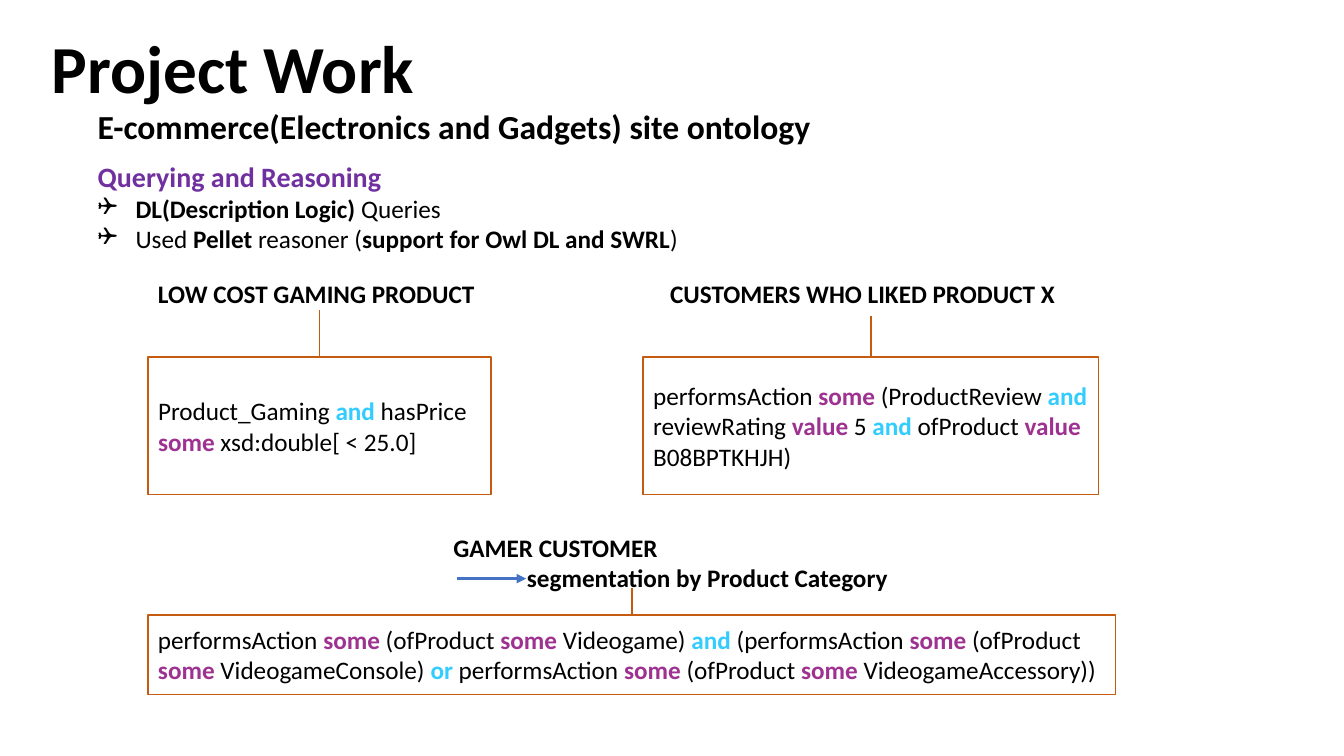
from itertools import groupby

from lxml.etree import SubElement
from pptx import Presentation
from pptx.dml.color import RGBColor
from pptx.enum.shapes import MSO_CONNECTOR, MSO_SHAPE
from pptx.enum.text import MSO_ANCHOR, MSO_AUTO_SIZE, PP_ALIGN
from pptx.oxml.ns import qn
from pptx.util import Pt

BLACK = RGBColor(0x00, 0x00, 0x00)
WHITE = RGBColor(0xFF, 0xFF, 0xFF)
PURPLE = RGBColor(0x70, 0x30, 0xA0)
ORANGE = RGBColor(0xC5, 0x5A, 0x11)
BLUE = RGBColor(0x44, 0x72, 0xC4)
CYAN = RGBColor(0x33, 0xCC, 0xFF)
MAGENTA = RGBColor(0x9E, 0x32, 0x91)

KEYWORD_COLORS = {"and": CYAN, "or": CYAN, "some": MAGENTA, "value": MAGENTA}


def add_text(paragraph, text, *, size=18, color=BLACK, bold=False):
    run = paragraph.add_run()
    run.text = text
    run.font.name = "Calibri"
    run.font.size = Pt(size)
    run.font.color.rgb = color
    run.font.bold = bold


class OntologySlide:
    """Holds the slide and its shared style."""

    line_color = ORANGE
    line_width = 1

    def __init__(self, presentation):
        self.slide = presentation.slides.add_slide(presentation.slide_layouts[1])
        self.shapes = self.slide.shapes

    def place(self, shape, left, top, width, height):
        shape.left, shape.top = Pt(left), Pt(top)
        shape.width, shape.height = Pt(width), Pt(height)
        frame = shape.text_frame
        frame.word_wrap = True
        frame.auto_size = MSO_AUTO_SIZE.NONE
        frame.vertical_anchor = MSO_ANCHOR.TOP
        return frame

    def title(self, text, *bounds):
        frame = self.place(self.shapes.title, *bounds)
        frame.paragraphs[0].alignment = PP_ALIGN.LEFT
        add_text(frame.paragraphs[0], text, size=48, bold=True)

    def checklist(self, heading, items, *bounds):
        frame = self.place(self.slide.placeholders[1], *bounds)
        first = frame.paragraphs[0]
        self.set_bullet(first)
        add_text(first, heading, size=20, color=PURPLE, bold=True)
        for item in items:
            paragraph = frame.add_paragraph()
            self.set_bullet(paragraph, "❑", 27)
            # Odd pieces between asterisks are bold
            for index, piece in enumerate(item.split("*")):
                if piece:
                    add_text(paragraph, piece, bold=index % 2 == 1)

    def set_bullet(self, paragraph, char=None, indent=0):
        paragraph.space_before = Pt(0)
        properties = paragraph._p.get_or_add_pPr()
        properties.set("marL", str(Pt(indent)))
        properties.set("indent", str(-Pt(indent)))
        if char:
            SubElement(properties, qn("a:buFont"), typeface="Wingdings")
            SubElement(properties, qn("a:buChar"), char=char)
        else:
            SubElement(properties, qn("a:buNone"))

    def label(self, lines, *bounds, size=18, indent=0):
        frame = self.place(self.shapes.add_textbox(0, 0, 0, 0), *bounds)
        for index, line in enumerate(lines):
            paragraph = frame.add_paragraph() if index else frame.paragraphs[0]
            if index:
                paragraph._p.get_or_add_pPr().set("marL", str(Pt(indent)))
            add_text(paragraph, line, size=size, bold=True)

    def query(self, lines, *bounds):
        box = self.shapes.add_shape(MSO_SHAPE.RECTANGLE, 0, 0, 0, 0)
        frame = self.place(box, *bounds)
        frame.vertical_anchor = MSO_ANCHOR.MIDDLE
        box.shadow.inherit = False
        box.fill.solid()
        box.fill.fore_color.rgb = WHITE
        box.line.color.rgb = self.line_color
        box.line.width = Pt(self.line_width)
        for index, line in enumerate(lines):
            paragraph = frame.add_paragraph() if index else frame.paragraphs[0]
            paragraph.alignment = PP_ALIGN.LEFT
            self.add_query_line(paragraph, line)
        return box

    def add_query_line(self, paragraph, line):
        gap = ""
        for color, words in groupby(line.split(" "), KEYWORD_COLORS.get):
            text = " ".join(words)
            if color:
                add_text(paragraph, gap, bold=False) if gap.strip() else None
                add_text(paragraph, text, color=color, bold=True)
                gap = " "
            else:
                gap += text + " "
        if gap.strip():
            add_text(paragraph, gap.rstrip())

    def connector(self, x1, y1, x2, y2, *, color=None, width=None, arrow=False):
        line = self.shapes.add_connector(
            MSO_CONNECTOR.STRAIGHT, Pt(x1), Pt(y1), Pt(x2), Pt(y2))
        line.line.color.rgb = color or self.line_color
        line.line.width = Pt(width or self.line_width)
        if arrow:
            SubElement(line.line._get_or_add_ln(), qn("a:tailEnd"), type="triangle")
        SubElement(line._element.spPr, qn("a:effectLst"))
        return line

    def stem(self, box, top):
        """Join the top of a query box to the label above it."""
        center = (box.left + box.width / 2) / Pt(1)
        line = self.connector(center, box.top / Pt(1), center, top)
        line.begin_connect(box, 0)


def main():
    presentation = Presentation()
    presentation.slide_width, presentation.slide_height = Pt(960), Pt(540)
    page = OntologySlide(presentation)

    # Headings and list
    page.title("Project Work", 29.5, 15.1, 791, 65.5)
    page.label(["E-commerce(Electronics and Gadgets) site ontology"],
               62.6, 72, 716, 36, size=24)
    page.checklist(
        "Querying and Reasoning",
        ["*DL(Description Logic) *Queries",
         "Used *Pellet* reasoner (*support for Owl DL and SWRL*)"],
        62.6, 110.2, 845, 119)

    # Low cost products
    low_cost = page.query(
        ["Product_Gaming and hasPrice", "some xsd:double[ < 25.0]"],
        105.8, 254.9, 245, 98.6)
    page.label(["LOW COST GAMING PRODUCT"], 105.8, 195.1, 263, 29)
    page.stem(low_cost, 221.8)

    # Customers by liked product
    liked = page.query(
        ["performsAction some (ProductReview and reviewRating value 5 "
         "and ofProduct value B08BPTKHJH)"],
        459.4, 254.9, 325.4, 98.6)
    page.label(["CUSTOMERS WHO LIKED PRODUCT X"], 471.6, 195.1, 299, 29)
    page.stem(liked, 225.4)

    # Gamer segmentation
    page.label(["GAMER CUSTOMER", "segmentation by Product Category"],
               316.8, 376.6, 479.5, 51, indent=52.5)
    page.connector(326.2, 413.3, 375.8, 413.3, color=BLUE, width=2.25, arrow=True)
    gamer = page.query(
        ["performsAction some (ofProduct some Videogame) and "
         "(performsAction some (ofProduct some VideogameConsole) or "
         "performsAction some (ofProduct some VideogameAccessory))"],
        105.8, 439.2, 691.2, 56.9)
    page.stem(gamer, 419.8)

    presentation.save("out.pptx")


if __name__ == "__main__":
    main()
